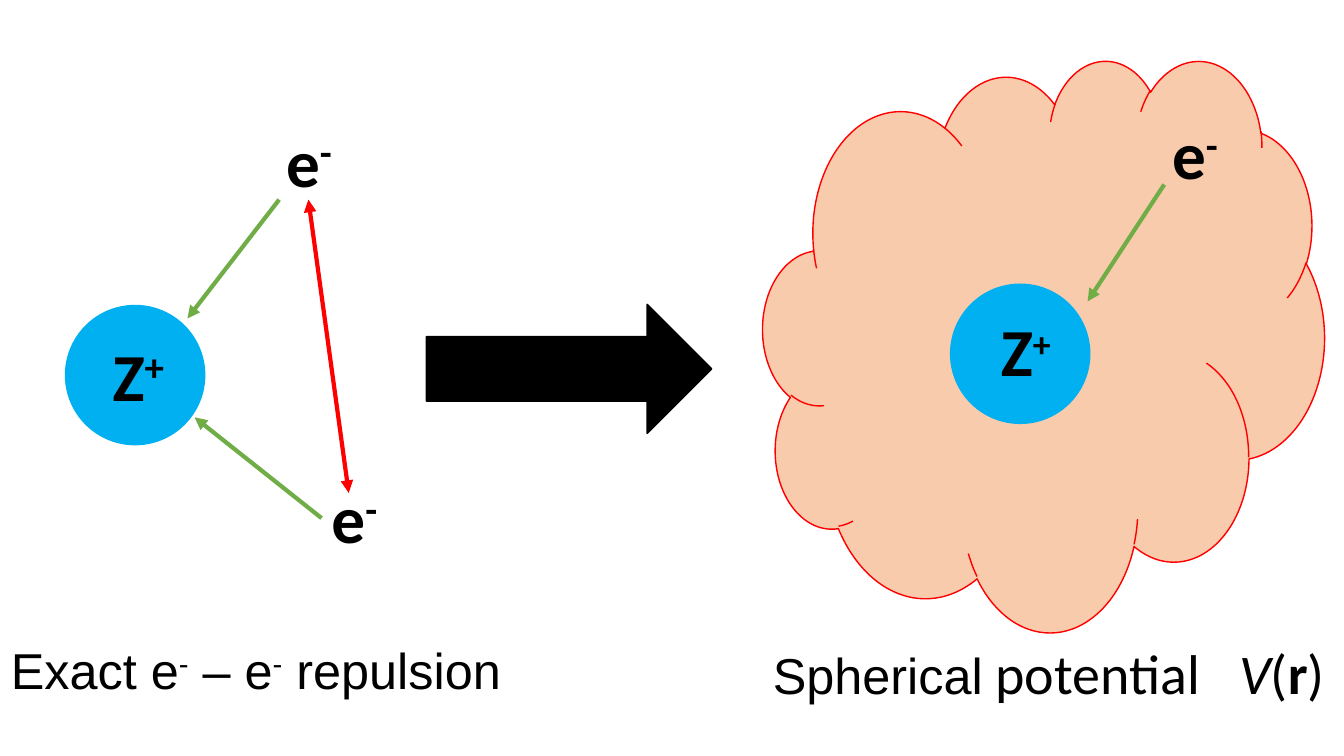
"""Build a slide on replacing electron repulsion by a spherical potential."""
from lxml.etree import SubElement
from pptx import Presentation
from pptx.dml.color import RGBColor
from pptx.enum.shapes import MSO_CONNECTOR, MSO_SHAPE
from pptx.oxml.ns import qn
from pptx.util import Pt

BLACK = RGBColor(0x00, 0x00, 0x00)
RED = RGBColor(0xFF, 0x00, 0x00)
GREEN = RGBColor(0x70, 0xAD, 0x47)
BLUE = RGBColor(0x00, 0xB0, 0xF0)
PEACH = RGBColor(0xF8, 0xCB, 0xAD)

prs = Presentation()
prs.slide_width, prs.slide_height = Pt(960), Pt(540)
s = prs.slides.add_slide(prs.slide_layouts[6])


def add_text(x, y, w, h, runs):
    """Add a one-line text box from (text, format) pairs."""
    tb = s.shapes.add_textbox(Pt(x), Pt(y), Pt(w), Pt(h))
    tf = tb.text_frame
    tf.word_wrap = True
    p = tf.paragraphs[0]
    for text, fmt in runs:
        r = p.add_run()
        r.text = text
        r.font.color.rgb = BLACK
        for name, value in fmt.items():
            if name == "baseline":
                r.font._element.set(name, value)
            else:
                setattr(r.font, name, value)
    return p


shapes = [
    (MSO_SHAPE.CLOUD, 545, 42.5, 401, 408.2, PEACH, RED),
    (MSO_SHAPE.OVAL, 46.8, 218.2, 99.4, 99.4, BLUE, BLUE),
    (MSO_SHAPE.OVAL, 679, 203, 99.4, 99.4, BLUE, BLUE),
    (MSO_SHAPE.RIGHT_ARROW, 304.6, 217.4, 203.8, 92.2, BLACK, BLACK),
]
for kind, x, y, w, h, fill, line in shapes:
    sp = s.shapes.add_shape(kind, Pt(x), Pt(y), Pt(w), Pt(h))
    sp.shadow.inherit = False
    sp.fill.solid()
    sp.fill.fore_color.rgb = fill
    sp.line.color.rgb = line
    sp.line.width = Pt(1)

arrows = [
    (220.3, 142.6, 249.1, 352.1, RED, ("headEnd", "tailEnd")),
    (199.4, 142.6, 133.9, 227.5, GREEN, ("tailEnd",)),
    (229.7, 370.1, 139, 298.1, GREEN, ("tailEnd",)),
    (831.6, 131.8, 776.9, 215.3, GREEN, ("tailEnd",)),
]
for x1, y1, x2, y2, color, ends in arrows:
    cn = s.shapes.add_connector(MSO_CONNECTOR.STRAIGHT, Pt(x1), Pt(y1), Pt(x2), Pt(y2))
    cn.line.color.rgb = color
    cn.line.width = Pt(3)
    ln = cn.line._get_or_add_ln()
    for end in ends:
        SubElement(ln, qn(f"a:{end}"), type="triangle")
    SubElement(cn._element.spPr, qn("a:effectLst"))

particle = {"name": "Calibri", "size": Pt(48), "bold": True}
labels = [
    ("e", "-", 197.3, 82.1, 74.9, 48),
    ("e", "-", 229.7, 337, 74.9, 48),
    ("e", "-", 830.2, 77, 74.9, 48),
    ("Z", "+", 73.4, 235.4, 81.4, 48),
    ("Z", "+", 707.8, 217.4, 81.4, 44),
]
for symbol, charge, x, y, w, charge_size in labels:
    superscript = {**particle, "size": Pt(charge_size), "baseline": "30000"}
    add_text(x, y, w, 65.5, [(symbol, particle), (charge, superscript)])

caption = {"name": "Arial", "size": Pt(36)}
raised = {**caption, "baseline": "30000"}
formula = {"name": "Calibri", "size": Pt(40)}
add_text(0.7, 452.9, 468, 51.1, [
    ("Exact e", caption), ("-", raised), (" – e", caption),
    ("-", raised), (" repulsion", caption),
])
p = add_text(545, 452.9, 468, 55.4, [
    ("Spherical", caption), (" potential\t", formula),
    ("V", {**formula, "italic": True}), ("(", formula),
    ("r", {**formula, "bold": True}), (")", formula),
])
tabs = SubElement(p._p.get_or_add_pPr(), qn("a:tabLst"))
SubElement(tabs, qn("a:tab"), pos=str(Pt(333)), algn="l")

prs.save("out.pptx")
